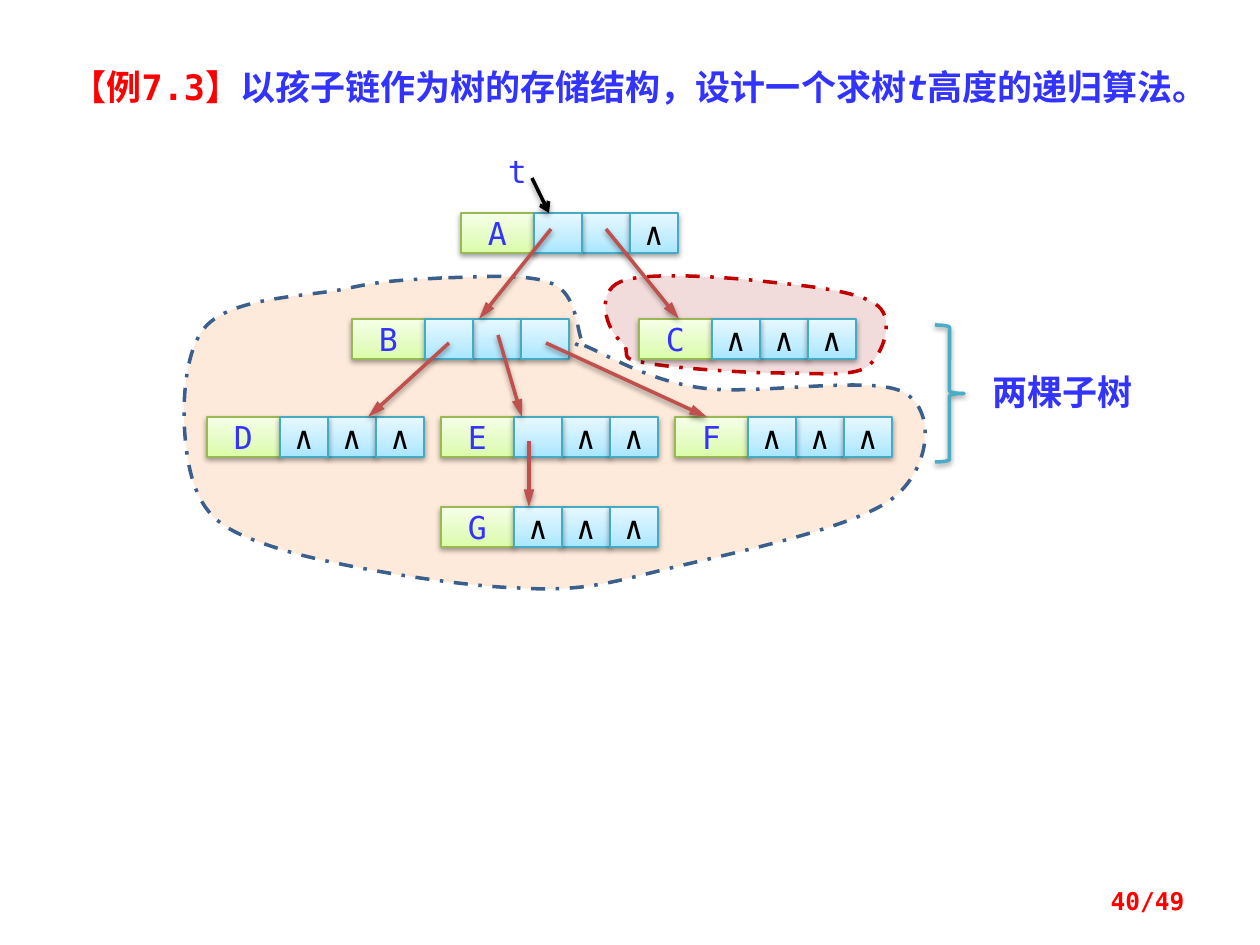
import copy
from typing import NamedTuple

import pptx
import pptx.dml.color
import pptx.enum.dml
import pptx.enum.shapes
import pptx.enum.text
import pptx.oxml
import pptx.oxml.ns
import pptx.util

RGB = pptx.dml.color.RGBColor
ALIGN = pptx.enum.text.PP_ALIGN
ANCHOR = pptx.enum.text.MSO_ANCHOR
SHAPE = pptx.enum.shapes.MSO_SHAPE
qn = pptx.oxml.ns.qn
NS = pptx.oxml.ns.nsdecls("a")

BLUE = RGB(0x33, 0x33, 0xFF)
RED = RGB(0xFF, 0x00, 0x00)
BLACK = RGB(0x00, 0x00, 0x00)
LINK = RGB(0xC0, 0x50, 0x4D)
TEAL = RGB(0x4B, 0xAC, 0xC6)
PINK = RGB(0xF2, 0xDC, 0xDB)
CRIMSON = RGB(0xC0, 0x00, 0x00)
PEACH = RGB(0xFD, 0xEA, 0xDA)
NAVY = RGB(0x3A, 0x5F, 0x8C)

MONO, SANS = "DejaVu Sans Mono", "Noto Sans CJK SC"
PX_PER_INCH = 126
DATA_W, CELL_W, NODE_H = 73, 48, 40
CELL_ORDER = (1, 0, 2)


class Skin(NamedTuple):
    stops: tuple
    edge: RGB


class Node(NamedTuple):
    name: str
    x: int
    y: int
    links: int


class Arrow(NamedTuple):
    x1: int
    y1: int
    x2: int
    y2: int
    color: RGB = LINK
    head: str = "triangle"
    length: str = "lg"


class Blob(NamedTuple):
    """Closed outline: a start point, then three points per Bézier curve."""
    fill: RGB
    edge: RGB
    points: tuple


GREEN_SKIN = Skin((RGB(0xDA, 0xFD, 0xA7), RGB(0xE4, 0xFC, 0xC2),
                   RGB(0xF5, 0xFF, 0xE7)), RGB(0x98, 0xB9, 0x55))
BLUE_SKIN = Skin((RGB(0xA7, 0xE6, 0xFF), RGB(0xC1, 0xED, 0xFF),
                  RGB(0xE7, 0xF8, 0xFF)), RGB(0x46, 0xAA, 0xC5))

BLOBS = (
    Blob(PINK, CRIMSON, (
        (620, 282), (596, 292), (604, 330), (625, 345),
        (629, 358), (620, 358), (646, 363), (673, 368), (743, 373), (781, 373),
        (818, 373), (851, 377), (867, 367), (883, 355), (895, 320), (878, 306),
        (862, 292), (811, 286), (769, 282), (727, 277), (644, 271), (620, 282))),
    Blob(PEACH, NAVY, (
        (442, 278), (408, 280), (384, 280), (345, 289),
        (305, 297), (227, 297), (203, 330), (178, 363), (181, 447), (194, 484),
        (207, 520), (226, 532), (280, 549), (334, 566), (454, 586), (519, 588),
        (585, 592), (612, 582), (675, 567), (737, 552), (853, 528), (892, 499),
        (930, 470), (937, 412), (905, 393), (873, 374), (755, 396), (702, 388),
        (648, 381), (604, 353), (583, 345), (563, 338), (587, 352), (582, 341),
        (577, 331), (577, 294), (553, 284), (530, 273), (478, 277), (442, 278))),
)
NODES = (
    Node("A", 461, 213, 2),
    Node("B", 352, 319, 3), Node("C", 639, 319, 0),
    Node("D", 207, 417, 0), Node("E", 441, 417, 1), Node("F", 675, 417, 0),
    Node("G", 441, 507, 0),
)
ARROWS = (
    Arrow(551, 229, 479, 319), Arrow(606, 229, 679, 319),
    Arrow(449, 343, 368, 417), Arrow(498, 335, 522, 417),
    Arrow(546, 343, 707, 417), Arrow(529, 441, 529, 507),
    Arrow(532, 178, 549, 213, BLACK, "arrow", "med"),
)


def px(length: int) -> pptx.util.Emu:
    return pptx.util.Emu(round(length * pptx.util.Inches(1) / PX_PER_INCH))


def write(shape, text: str, *, size: int = 18, color: RGB = BLUE,
          font: str = MONO, bold: bool = False, italic: bool = False,
          align=ALIGN.CENTER) -> None:
    """Add a run to the first paragraph of the shape."""
    para = shape.text_frame.paragraphs[0]
    para.alignment = align
    run = para.add_run()
    run.text = text
    run.font.size = pptx.util.Pt(size)
    run.font.name = font
    run.font.bold = bold
    run.font.italic = italic
    run.font.color.rgb = color
    east = pptx.oxml.parse_xml(f'<a:ea {NS} typeface="{font}"/>')
    run.font._element.find(qn("a:latin")).addnext(east)


def add_shadow(shape) -> None:
    shape.element.spPr.append(pptx.oxml.parse_xml(
        f'<a:effectLst {NS}>'
        '<a:outerShdw blurRad="40000" dist="20000" dir="5400000" rotWithShape="0">'
        '<a:srgbClr val="000000"><a:alpha val="38000"/></a:srgbClr>'
        '</a:outerShdw></a:effectLst>'))


def set_line(line, color: RGB, width: float) -> None:
    line.color.rgb = color
    line.width = pptx.util.Pt(width)


def add_label(slide, x: int, y: int, w: int, h: int):
    box = slide.shapes.add_textbox(px(x), px(y), px(w), px(h))
    box.text_frame.word_wrap = True
    return box


def add_cell(slide, x: int, y: int, w: int, skin: Skin,
             text: str, color: RGB) -> None:
    cell = slide.shapes.add_shape(SHAPE.RECTANGLE, px(x), px(y), px(w), px(NODE_H))
    cell.fill.gradient()
    cell.fill.gradient_angle = 90
    stops = cell.element.spPr.find(qn("a:gradFill")).find(qn("a:gsLst"))
    stops.append(copy.deepcopy(stops[-1]))
    for stop, place, tint in zip(cell.fill.gradient_stops, (0, 0.35, 1), skin.stops):
        stop.position = place
        stop.color.rgb = tint
    set_line(cell.line, skin.edge, 0.75)
    add_shadow(cell)
    if text:
        cell.text_frame.word_wrap = False
        cell.text_frame.vertical_anchor = ANCHOR.MIDDLE
        write(cell, text, color=color)


def add_node(slide, node: Node) -> None:
    """Draw the data cell, then the pointer cells; unused pointers show ∧."""
    add_cell(slide, node.x, node.y, DATA_W, GREEN_SKIN, node.name, BLUE)
    for i in CELL_ORDER:
        add_cell(slide, node.x + DATA_W + i * CELL_W, node.y, CELL_W, BLUE_SKIN,
                 "" if i < node.links else "∧", BLACK)


def add_arrow(slide, arrow: Arrow) -> None:
    line = slide.shapes.add_connector(
        pptx.enum.shapes.MSO_CONNECTOR.STRAIGHT,
        px(arrow.x1), px(arrow.y1), px(arrow.x2), px(arrow.y2))
    set_line(line.line, arrow.color, 2)
    line.line._get_or_add_ln().append(pptx.oxml.parse_xml(
        f'<a:tailEnd {NS} type="{arrow.head}" w="med" len="{arrow.length}"/>'))
    add_shadow(line)


def add_blob(slide, blob: Blob) -> None:
    """Lay out all points as a polygon, then join each three into a curve."""
    start, *rest = [(px(x), px(y)) for x, y in blob.points]
    pen = slide.shapes.build_freeform(*start)
    pen.add_line_segments(rest, close=True)
    shape = pen.convert_to_shape()
    sides = list(shape.element.spPr.iter(qn("a:lnTo")))
    for k in range(0, len(rest), 3):
        curve = pptx.oxml.parse_xml(f'<a:cubicBezTo {NS}/>')
        sides[k].addprevious(curve)
        for side in sides[k:k + 3]:
            curve.append(side[0])
            side.getparent().remove(side)
    shape.shadow.inherit = False
    shape.fill.solid()
    shape.fill.fore_color.rgb = blob.fill
    set_line(shape.line, blob.edge, 2)
    shape.line.dash_style = pptx.enum.dml.MSO_LINE.DASH_DOT


def add_title(slide) -> None:
    title = slide.shapes.title
    title.left, title.top, title.width, title.height = map(px, (59, 59, 1152, 55))
    title.text_frame.auto_size = pptx.enum.text.MSO_AUTO_SIZE.NONE
    title.text_frame.vertical_anchor = ANCHOR.TOP
    for text, color, italic in (("【例7.3】", RED, False),
                                ("以孩子链作为树的存储结构，设计一个求树", BLUE, False),
                                ("t", BLUE, True),
                                ("高度的递归算法。", BLUE, False)):
        write(title, text, size=20, color=color, bold=True, italic=italic,
              align=ALIGN.LEFT)


def main() -> None:
    deck = pptx.Presentation()
    deck.slide_width, deck.slide_height = px(1260), px(945)
    slide = deck.slides.add_slide(deck.slide_layouts[5])
    add_title(slide)
    for blob in BLOBS:
        add_blob(slide, blob)

    write(add_label(slide, 974, 364, 178, 55), "两棵子树", size=20, font=SANS, bold=True)
    brace = slide.shapes.add_shape(SHAPE.RIGHT_BRACE, px(935), px(325), px(29), px(137))
    brace.fill.background()
    set_line(brace.line, TEAL, 2)
    add_shadow(brace)

    for node in NODES:
        add_node(slide, node)
    for arrow in ARROWS:
        add_arrow(slide, arrow)
    write(add_label(slide, 493, 146, 49, 50), "t")

    page = add_label(slide, 903, 876, 294, 50)
    page.text_frame.vertical_anchor = ANCHOR.MIDDLE
    write(page, "40/49", size=14, color=RED, bold=True, align=ALIGN.RIGHT)
    deck.save("out.pptx")


if __name__ == "__main__":
    main()
